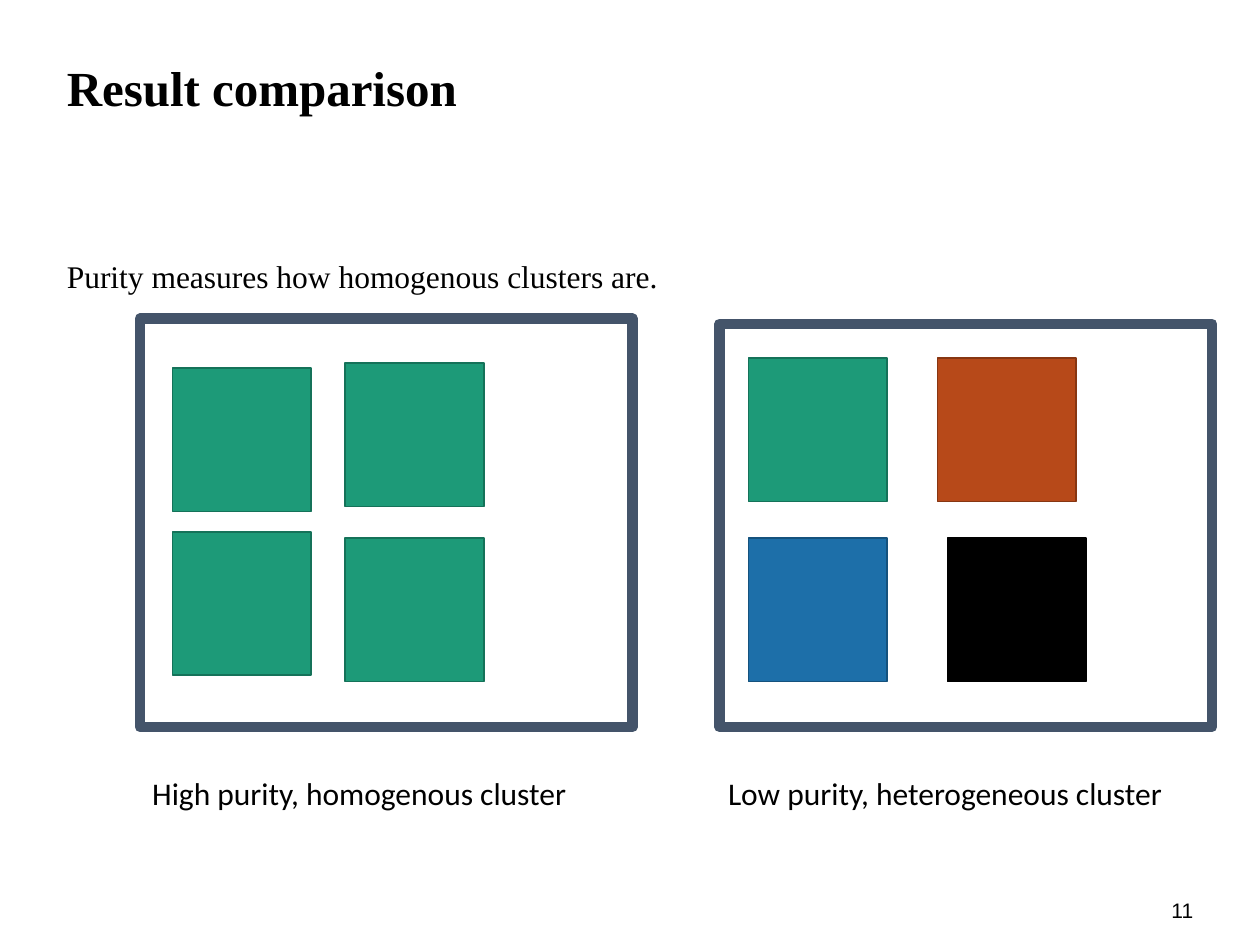
from dataclasses import dataclass

from pptx import Presentation
from pptx.dml.color import RGBColor
from pptx.enum.shapes import MSO_SHAPE
from pptx.enum.text import MSO_ANCHOR, MSO_AUTO_SIZE, PP_ALIGN
from pptx.util import Inches, Pt

RECTANGLE = MSO_SHAPE.RECTANGLE
TOP, MIDDLE = MSO_ANCHOR.TOP, MSO_ANCHOR.MIDDLE
LEFT, RIGHT = PP_ALIGN.LEFT, PP_ALIGN.RIGHT
NO_FIT = MSO_AUTO_SIZE.NONE
COLUMNS, ROWS = 100, 75


@dataclass(frozen=True)
class Theme:
    ink: str = "000000"
    frame: str = "44546A"
    green: tuple = ("1D9A78", "157259")
    orange: tuple = ("B74919", "873612")
    blue: tuple = ("1D6FA9", "15527D")
    black: tuple = ("000000", "000000")
    serif: str = "Times New Roman"
    sans: str = "Calibri"
    number_font: str = "Arial"
    title_size: int = 28
    text_size: int = 18
    number_size: int = 12
    frame_width: int = 6
    tile_width: int = 1


THEME = Theme()
TILE_SIZE = (11, 11.4)


def grid(*cells):
    return [Inches(cell * 10 / COLUMNS) for cell in cells]


def apply(target, values):
    for name, value in values.items():
        setattr(target, name, value)


def place(shape, box):
    apply(shape, dict(zip(("left", "top", "width", "height"), grid(*box))))


def write(shape, text, font, size, bold=False, frame=None, paragraph=None):
    apply(shape.text_frame, {"word_wrap": True, "auto_size": NO_FIT,
                             "vertical_anchor": TOP, **(frame or {})})
    line = shape.text_frame.paragraphs[0]
    apply(line, {"alignment": LEFT, **(paragraph or {})})
    run = line.add_run()
    run.text = text
    apply(run.font, {"name": font, "size": Pt(size), "bold": bold})
    run.font.color.rgb = RGBColor.from_string(THEME.ink)
    return line


def add_title(slide, box):
    title = slide.shapes.title
    place(title, box)
    write(title, "Result comparison", THEME.serif, THEME.title_size, True,
          {"vertical_anchor": MIDDLE},
          {"line_spacing": Pt(32.4), "space_before": Pt(10)})


def add_statement(slide, box):
    statement = slide.placeholders[1]
    place(statement, box)
    line = write(statement, "Purity measures how homogenous clusters are.",
                 THEME.serif, THEME.text_size,
                 paragraph={"line_spacing": 1.5, "space_before": Pt(10)})
    properties = line._p.get_or_add_pPr()
    properties.set("marL", "0")
    properties.set("indent", "0")
    bullet = properties.makeelement(
        "{http://schemas.openxmlformats.org/drawingml/2006/main}buNone", {})
    properties.append(bullet)


def add_rectangle(slide, box, fill, outline, width):
    rectangle = slide.shapes.add_shape(RECTANGLE, *grid(*box))
    rectangle.shadow.inherit = False
    if fill:
        rectangle.fill.solid()
        rectangle.fill.fore_color.rgb = RGBColor.from_string(fill)
    else:
        rectangle.fill.background()
    rectangle.line.color.rgb = RGBColor.from_string(outline)
    rectangle.line.width = Pt(width)


def add_caption(slide, box, text):
    caption = slide.shapes.add_textbox(*grid(*box))
    write(caption, text, THEME.sans, THEME.text_size)


def add_cluster(slide, box, tiles, caption, caption_shift):
    left, top, width, height = box
    add_rectangle(slide, box, None, THEME.frame, THEME.frame_width)
    for column, row, colors in tiles:
        add_rectangle(slide, (left + column, top + row, *TILE_SIZE),
                      *colors, THEME.tile_width)
    add_caption(slide, (left + caption_shift, top + height + 3.2, 37.6, 4), caption)


def add_slide_number(slide, box):
    number = slide.shapes.add_textbox(*grid(*box))
    write(number, "11", THEME.number_font, THEME.number_size,
          frame={"vertical_anchor": MIDDLE, "margin_right": 0},
          paragraph={"alignment": RIGHT})


def main():
    presentation = Presentation()
    presentation.slide_width, presentation.slide_height = grid(COLUMNS, ROWS)
    slide = presentation.slides.add_slide(presentation.slide_layouts[1])
    add_title(slide, (4.3, 2, 73.7, 10))
    add_statement(slide, (4.3, 18.4, 90.3, 36.2))
    add_slide_number(slide, (72.2, 70.2, 22.5, 4))
    pure_tiles = [(column, row, THEME.green) for column, row in
                  ((2.6, 3.9), (16.3, 3.5), (2.6, 16.9), (16.3, 17.4))]
    mixed_tiles = [(2.3, 2.7, THEME.green), (17.3, 2.7, THEME.orange),
                   (2.3, 17, THEME.blue), (18.1, 17, THEME.black)]
    add_cluster(slide, (11.1, 25.3, 39.1, 32.4), pure_tiles,
                "High purity, homogenous cluster", 0)
    add_cluster(slide, (57.1, 25.7, 39.1, 32), mixed_tiles,
                "Low purity, heterogeneous cluster", -0.3)
    presentation.save("out.pptx")


if __name__ == "__main__":
    main()
